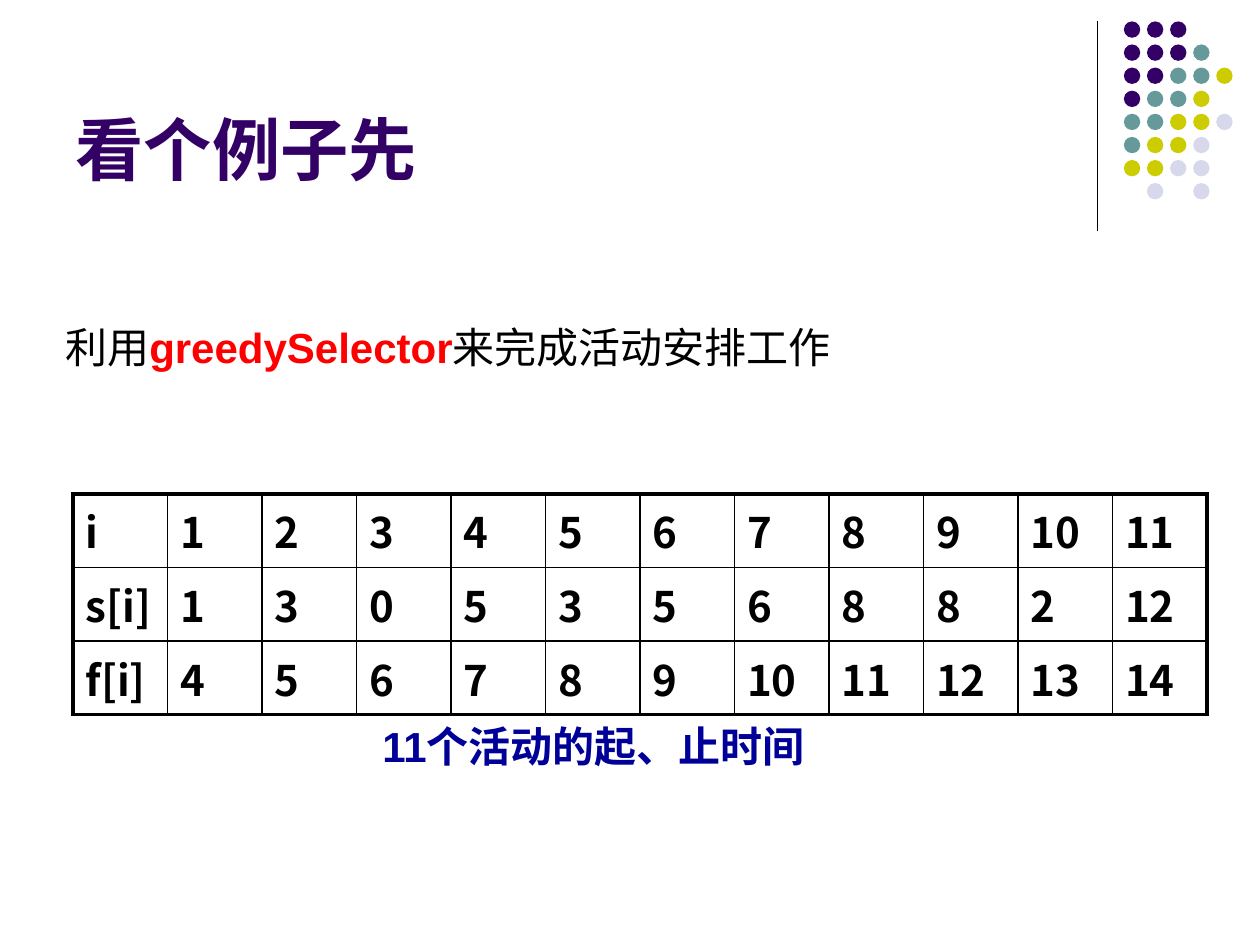
import pptx
import pptx.dml.color
import pptx.enum.shapes
import pptx.enum.text
import pptx.oxml.ns
import pptx.util
from lxml import etree

Inches = pptx.util.Inches
Pt = pptx.util.Pt
qn = pptx.oxml.ns.qn

COLORS = {
    "purple": "330066", "teal": "669999", "olive": "CCCC00", "lavender": "D8D8EC",
    "black": "000000", "red": "FF0000", "navy": "000099",
}
LATIN_FONT = "Arial"
CJK_FONT = "Noto Sans CJK SC"

TITLE = "看个例子先"
INTRO = [("利用", "black", False), ("greedySelector", "red", True), ("来完成活动安排工作", "black", False)]
CAPTION = [("11个活动的起、止时间", "navy", True)]
ACTIVITIES = [
    ["i", 1, 2, 3, 4, 5, 6, 7, 8, 9, 10, 11],
    ["s[i]", 1, 3, 0, 5, 3, 5, 6, 8, 8, 2, 12],
    ["f[i]", 4, 5, 6, 7, 8, 9, 10, 11, 12, 13, 14],
]
DOT_ROWS = ["PPP", "PPPT", "PPTTO", "PTTO", "TTOOL", "TOOL", "OOLL", " L L"]
DOT_COLORS = {"P": "purple", "T": "teal", "O": "olive", "L": "lavender"}
DOT_LEFT, DOT_TOP, DOT_SIZE, DOT_PITCH = 8.92, 0.17, 0.13, 1.1 / 6
TABLE_LEFT, TABLE_TOP, COLUMN_WIDTH, ROW_HEIGHT = 0.58, 3.92, 0.75, 0.58
OUTER_BORDER, INNER_BORDER = 2.25, 1


def rgb(name):
    return pptx.dml.color.RGBColor.from_string(COLORS[name])


def format_run(run, size, color, bold, latin=LATIN_FONT):
    run.font.size = Pt(size)
    run.font.bold = bold
    run.font.color.rgb = rgb(color)
    run.font.name = latin
    east_asian = etree.Element(qn("a:ea"), typeface=CJK_FONT)
    run.font._element.find(qn("a:latin")).addnext(east_asian)


def add_title(slide):
    title = slide.shapes.title
    title.left, title.top, title.width, title.height = map(Inches, (0.5, 0.13, 8.25, 1.42))
    frame = title.text_frame
    frame.text = TITLE
    frame.auto_size = pptx.enum.text.MSO_AUTO_SIZE.NONE
    frame.vertical_anchor = pptx.enum.text.MSO_ANCHOR.BOTTOM
    paragraph = frame.paragraphs[0]
    paragraph.alignment = pptx.enum.text.PP_ALIGN.LEFT
    format_run(paragraph.runs[0], 39, "purple", True)


def add_divider(slide):
    line = slide.shapes.add_connector(
        pptx.enum.shapes.MSO_CONNECTOR.STRAIGHT, Inches(8.71), Inches(0.17), Inches(8.71), Inches(1.83))
    line.line.color.rgb = rgb("black")
    line.line.width = Pt(0.75)
    etree.SubElement(line._element.spPr, qn("a:effectLst"))


def add_dots(slide):
    group = slide.shapes.add_group_shape()
    for row, codes in enumerate(DOT_ROWS):
        for column, code in enumerate(codes):
            if code == " ":
                continue
            dot = group.shapes.add_shape(
                pptx.enum.shapes.MSO_SHAPE.OVAL,
                Inches(DOT_LEFT + column * DOT_PITCH), Inches(DOT_TOP + row * DOT_PITCH),
                Inches(DOT_SIZE), Inches(DOT_SIZE))
            dot.shadow.inherit = False
            dot.fill.solid()
            dot.fill.fore_color.rgb = rgb(DOT_COLORS[code])
            dot.line.fill.background()


def set_borders(cell, widths):
    properties = cell._tc.get_or_add_tcPr()
    for side, width in widths.items():
        line = etree.SubElement(properties, qn("a:ln" + side), w=str(Pt(width)))
        fill = etree.SubElement(line, qn("a:solidFill"))
        etree.SubElement(fill, qn("a:srgbClr"), val=COLORS["black"])


def add_activity_table(slide):
    row_count, column_count = len(ACTIVITIES), len(ACTIVITIES[0])
    table = slide.shapes.add_table(
        row_count, column_count, Inches(TABLE_LEFT), Inches(TABLE_TOP),
        Inches(COLUMN_WIDTH * column_count), Inches(ROW_HEIGHT * row_count)).table
    table.first_row = table.horz_banding = False
    for row, values in enumerate(ACTIVITIES):
        for column, value in enumerate(values):
            cell = table.cell(row, column)
            cell.text_frame.text = str(value)
            format_run(cell.text_frame.paragraphs[0].runs[0], 24, "black", True, CJK_FONT)
            on_edge = {"L": column == 0, "R": column == column_count - 1,
                       "T": row == 0, "B": row == row_count - 1}
            set_borders(cell, {side: OUTER_BORDER if edge else INNER_BORDER
                               for side, edge in on_edge.items()})
            cell.fill.background()


def add_text(slide, position, parts, alignment):
    frame = slide.shapes.add_textbox(*map(Inches, position)).text_frame
    frame.word_wrap = True
    paragraph = frame.paragraphs[0]
    paragraph.alignment = alignment
    for text, color, bold in parts:
        run = paragraph.add_run()
        run.text = text
        format_run(run, 24, color, bold)


def main():
    presentation = pptx.Presentation()
    presentation.slide_width, presentation.slide_height = Inches(10), Inches(7.5)
    slide = presentation.slides.add_slide(presentation.slide_layouts[5])
    add_divider(slide)
    add_dots(slide)
    add_title(slide)
    add_activity_table(slide)
    add_text(slide, (1.75, 5.67, 5.92, 0.5), CAPTION, pptx.enum.text.PP_ALIGN.CENTER)
    add_text(slide, (0.42, 2.5, 7, 0.5), INTRO, pptx.enum.text.PP_ALIGN.LEFT)
    presentation.save("out.pptx")


if __name__ == "__main__":
    main()
